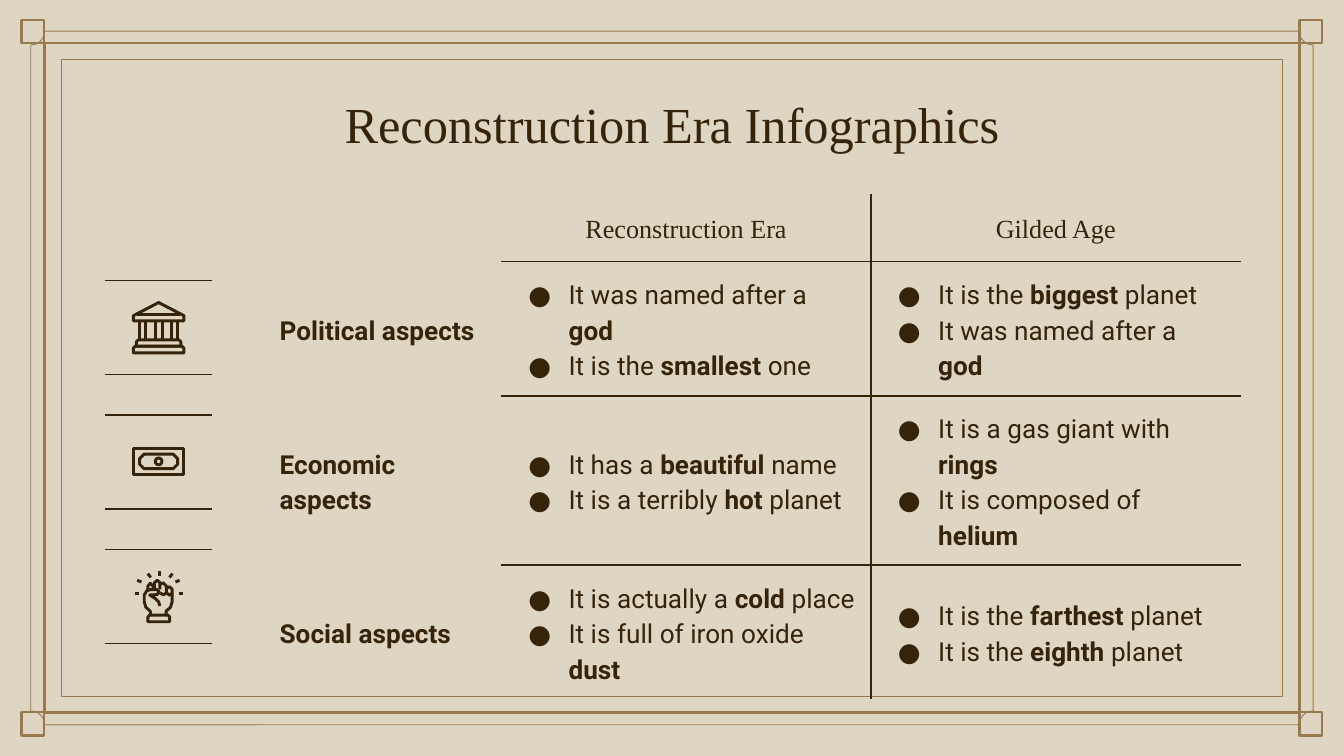
"""Build the Reconstruction Era comparison slide."""
from math import cos, pi, sin

from lxml.etree import SubElement
from pptx import Presentation
from pptx.dml.color import RGBColor
from pptx.enum.shapes import MSO_CONNECTOR, MSO_SHAPE
from pptx.enum.text import MSO_ANCHOR, MSO_AUTO_SIZE, PP_ALIGN
from pptx.oxml import parse_xml
from pptx.oxml.ns import nsdecls, qn
from pptx.util import Pt

SAND = RGBColor(0xDE, 0xD6, 0xC2)
GOLD = RGBColor(0x9B, 0x79, 0x4E)
DARK = RGBColor(0x35, 0x24, 0x0A)
SERIF, SANS = "Times New Roman", "Roboto"
WIDE, HIGH = 720, 405

TITLE = "Reconstruction Era Infographics"
HEADS = ["", "Reconstruction Era", "Gilded Age"]
ROWS = [
    ("Political aspects",
     [("It was named after a ", "god"), ("It is the ", "smallest ", "one")],
     [("It is the ", "biggest ", "planet"), ("It was named after a ", "god")]),
    ("Economic aspects",
     [("It has a ", "beautiful ", "name"), ("It is a terribly ", "hot ", "planet")],
     [("It is a gas giant with ", "rings"), ("It is composed of ", "helium")]),
    ("Social aspects",
     [("It is actually a ", "cold ", "place"), ("It is full of iron oxide ", "dust")],
     [("It is the ", "farthest ", "planet"), ("It is the ", "eighth ", "planet")]),
]
COLS, TALL = [126, 198, 198], [36, 72, 72, 72]

RING = [(14.4 + 1.8 * cos(k * pi / 6), 14.1 + 1.8 * sin(k * pi / 6)) for k in range(12)]
TEMPLE = [
    (True, [(14.4, 1), (27.9, 8), (27.9, 10.8), (0.9, 10.8), (0.9, 8)]),
    (False, [(3, 7.2), (25.8, 7.2)]),
    *[(False, [(x, 11), (x, 21)]) for x in (4.3, 7.6, 12.6, 16.2, 21.2, 24.5)],
    (True, [(3.5, 21), (25.3, 21), (26.3, 22), (26.3, 24.4), (2.5, 24.4), (2.5, 22)]),
    (True, [(1.9, 24.4), (26.9, 24.4), (27.9, 25.4), (27.9, 28), (0.9, 28), (0.9, 25.4)]),
]
MONEY = [
    (True, [(0.9, 7.3), (27.9, 7.3), (27.9, 20.9), (0.9, 20.9)]),
    (True, [(6.6, 10.2), (22.2, 10.2), (24.6, 12.6), (24.6, 15.6),
            (22.2, 18), (6.6, 18), (4.2, 15.6), (4.2, 12.6)]),
    (True, RING),
]
FIST = [
    (False, [(10.2, 24), (9.9, 22.3), (7.6, 20.3), (6.7, 17.3), (6.7, 13.7),
             (8, 11.5), (10, 10.8), (13.6, 10.8), (14.8, 12), (13.6, 13.5),
             (9.6, 13.7), (12.5, 15.5), (14.4, 17.3), (15.1, 19.6)]),
    (False, [(8.6, 11.2), (8.6, 9), (10, 7.4), (11.5, 9), (11.5, 10.6)]),
    (False, [(12.2, 10.6), (12.2, 7), (13.7, 5.8), (15.1, 7), (15.1, 10.6)]),
    (False, [(15.1, 8), (16.9, 7.2), (18.6, 9), (18.6, 12.5), (17, 13.6), (15.2, 12.6)]),
    (False, [(18.6, 10.2), (20.2, 9.2), (21.6, 10.5), (21.6, 12.7),
             (20.2, 13.7), (18.6, 12.5)]),
    (False, [(21.6, 12.7), (21.6, 17.3), (20.7, 20.3), (18.4, 22.3), (18.4, 24)]),
    (True, [(8.6, 28), (8.6, 25.5), (9.6, 24.4), (19.4, 24.4), (20.3, 25.5), (20.3, 28)]),
    *[(False, ray) for ray in (
        [(15.1, 1), (15.1, 3.5)], [(21.8, 2.2), (20.2, 4.3)], [(8.6, 2.2), (10.2, 4.3)],
        [(2.9, 5.8), (5.2, 6.7)], [(25.6, 5.8), (23.4, 6.7)],
        [(1.5, 12.9), (3.9, 12.9)], [(25.2, 12.9), (27.5, 12.9)])],
]


def box(slide, kind, x, y, w, h, line):
    shape = slide.shapes.add_shape(kind, Pt(x), Pt(y), Pt(w), Pt(h))
    shape.shadow.inherit = False
    shape.fill.background()
    shape.line.color.rgb = GOLD
    shape.line.width = Pt(line)
    return shape


def stroke(slide, dots, width, closed=False):
    dots = [(Pt(x), Pt(y)) for x, y in dots]
    if len(dots) == 2:
        shape = slide.shapes.add_connector(MSO_CONNECTOR.STRAIGHT, *dots[0], *dots[1])
        SubElement(shape.line.fill._xPr.getparent(), qn("a:effectLst"))
    else:
        maker = slide.shapes.build_freeform(*dots[0])
        maker.add_line_segments(dots[1:], close=closed)
        shape = maker.convert_to_shape()
        shape.shadow.inherit = False
        shape.fill.background()
    shape.line.color.rgb = DARK
    shape.line.width = Pt(width)


def write(para, text, face, size, bold=False):
    run = para.add_run()
    run.text = text
    run.font.name, run.font.size, run.font.bold = face, Pt(size), bold
    run.font.color.rgb = DARK


def bullet(para):
    props = para._p.get_or_add_pPr()
    props.set("marL", str(Pt(28.8)))
    props.set("indent", str(-Pt(21.6)))
    SubElement(SubElement(props, qn("a:buClr")), qn("a:srgbClr"), val=str(DARK))
    SubElement(props, qn("a:buFont"), typeface=SANS)
    SubElement(props, qn("a:buChar"), char="●")


def border(cell, sides):
    props = cell._tc.get_or_add_tcPr()
    for spot, side in enumerate("LRTB"):
        fill = (f'<a:solidFill><a:srgbClr val="{DARK}"/></a:solidFill>'
                if side in sides else "<a:noFill/>")
        props.insert(spot, parse_xml(
            f'<a:ln{side} {nsdecls("a")} w="{Pt(0.75)}">{fill}</a:ln{side}>'))


def frame(slide):
    for x in (11.6, WIDE - 23.8):
        for y in (10.8, HIGH - 23.4):
            box(slide, MSO_SHAPE.RECTANGLE, x, y, 12.2, 12.4, 1.28)
    for x, y, line in ((23.8, 23.2, 1.28), (33, 31.8, 0.5)):
        box(slide, MSO_SHAPE.RECTANGLE, x, y, WIDE - 2 * x, HIGH - 2 * y, line)
    plaque = box(slide, MSO_SHAPE.PLAQUE, 16.5, 16.7, WIDE - 33, HIGH - 33.4, 0.5)
    plaque.adjustments[0] = 0.02


def head(slide):
    title = slide.shapes.title
    title.left, title.top, title.width, title.height = Pt(56.2), Pt(42.5), Pt(607.6), Pt(46.8)
    body = title.text_frame
    body.auto_size = MSO_AUTO_SIZE.NONE
    body.vertical_anchor = MSO_ANCHOR.MIDDLE
    body.margin_left = body.margin_right = body.margin_top = body.margin_bottom = Pt(7.2)
    para = body.paragraphs[0]
    para.alignment = PP_ALIGN.CENTER
    write(para, TITLE, SERIF, 27)


def grid(slide):
    table = slide.shapes.add_table(len(TALL), len(COLS), Pt(142.6), Pt(103.8),
                                   Pt(sum(COLS)), Pt(sum(TALL))).table
    table.first_row = table.horz_banding = False
    for col, wide in zip(table.columns, COLS):
        col.width = Pt(wide)
    for row, tall in zip(table.rows, TALL):
        row.height = Pt(tall)
    for r, line in enumerate([HEADS, *ROWS]):
        for c, data in enumerate(line):
            cell = table.cell(r, c)
            cell.fill.background()
            cell.vertical_anchor = MSO_ANCHOR.MIDDLE
            cell.margin_left = cell.margin_right = Pt(7.2)
            cell.margin_top = cell.margin_bottom = Pt(7.2)
            top, low = "T" if r else "", "B" if r < len(ROWS) else ""
            border(cell, ("", "R", "L")[c] + top + low if c else "")
            items = data if isinstance(data, list) else [(data,)]
            for n, parts in enumerate(items):
                body = cell.text_frame
                para = body.add_paragraph() if n else body.paragraphs[0]
                para.line_spacing = 1.15
                if r and c:
                    bullet(para)
                elif not r:
                    para.alignment = PP_ALIGN.CENTER
                for k, text in enumerate(parts):
                    if text:
                        write(para, text, SANS if r else SERIF, 14, bool(r) and (not c or k == 1))


def icons(slide):
    for n, icon in enumerate((TEMPLE, MONEY, FIST)):
        top = 150.3 + 72 * n
        for y in (top, top + 50.4):
            stroke(slide, [(56.2, y), (113.8, y)], 0.75)
        for closed, dots in icon:
            stroke(slide, [(70.6 + x, top + 10.8 + y) for x, y in dots], 1.6, closed)


def main():
    deck = Presentation()
    deck.slide_width, deck.slide_height = Pt(WIDE), Pt(HIGH)
    slide = deck.slides.add_slide(deck.slide_layouts[5])
    slide.background.fill.solid()
    slide.background.fill.fore_color.rgb = SAND
    frame(slide)
    head(slide)
    grid(slide)
    icons(slide)
    deck.save("out.pptx")


if __name__ == "__main__":
    main()
